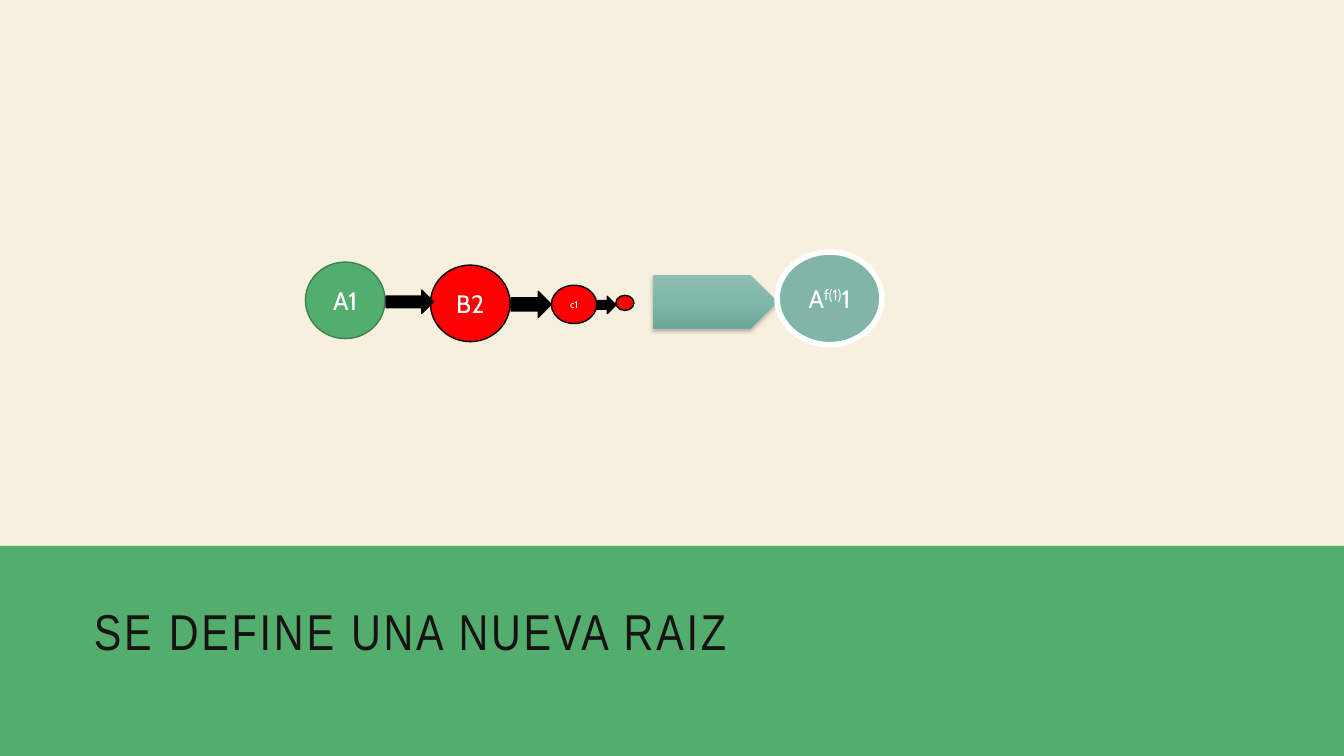
from dataclasses import dataclass

from lxml import etree
from pptx import Presentation
from pptx.dml import color
from pptx.enum import shapes, text
from pptx.oxml import ns
from pptx.util import Emu, Pt

COLUMNS, ROWS = 160, 90
CELL = 76200  # one twelfth of an inch

CREAM, GREEN, DARK_GREEN = "F7F0DF", "53AE6E", "3D8151"
RED, BLACK, WHITE, INK = "FF0000", "000000", "FFFFFF", "171312"
TEAL = "81B5A8"
TEAL_STOPS = ((0, "90BEB2"), (50, "7EB8A9"), (100, "6DA698"))


@dataclass(frozen=True)
class Box:
    column: float
    row: float
    columns: float
    rows: float

    def emu(self) -> list[Emu]:
        return [Emu(round(n * CELL)) for n in (self.column, self.row, self.columns, self.rows)]


@dataclass(frozen=True)
class Node:
    box: Box
    fill: str
    outline: str
    outline_width: float = 1
    label: tuple[str, ...] = ()  # every second part is raised
    size: float = 18


NODES = (
    Node(Box(36.36, 31.2, 9.48, 9.12), GREEN, DARK_GREEN, label=("A1",)),
    Node(Box(51.24, 31.56, 9.48, 9.12), RED, BLACK, label=("B2",)),
    Node(Box(65.64, 33.96, 5.4, 4.56), RED, BLACK, label=("c1",), size=7),
    Node(Box(73.32, 35.16, 2.16, 1.8), RED, BLACK),
)
NEW_ROOT = Node(Box(92.52, 30, 12.48, 11.04), TEAL, WHITE, 4, ("A", "f(1)", "1"))
ARROWS = (
    Box(45.96, 34.56, 5.64, 2.76),
    Box(60.84, 34.68, 4.8, 3.12),
    Box(71.04, 35.28, 2.28, 2.04),
)
PENTAGON = Box(77.76, 32.76, 14.76, 6.36)
BAND = Box(0, 65, COLUMNS, 25)
TITLE = Box(10, 69.24, 140, 12.48)


def rgb(value: str) -> color.RGBColor:
    return color.RGBColor.from_string(value)


def child(parent, tag: str, **attributes):
    return etree.SubElement(parent, ns.qn(tag), {k: str(v) for k, v in attributes.items()})


def add_figure(slide, kind, box: Box, fill: str, outline: str = "", width: float = 1):
    figure = slide.shapes.add_shape(kind, *box.emu())
    figure.shadow.inherit = False
    figure.fill.solid()
    figure.fill.fore_color.rgb = rgb(fill)
    if outline:
        figure.line.color.rgb = rgb(outline)
        figure.line.width = Pt(width)
    else:
        figure.line.fill.background()
    return figure


def write(frame, parts: tuple[str, ...], *, size: float, font: str, ink: str,
          align=text.PP_ALIGN.LEFT, line_spacing: float = 1, tracking: float = 0) -> None:
    """Write one paragraph, raising every second part."""
    frame.vertical_anchor = text.MSO_ANCHOR.MIDDLE
    paragraph = frame.paragraphs[0]
    paragraph.alignment = align
    paragraph.line_spacing = line_spacing
    for index, part in enumerate(parts):
        run = paragraph.add_run()
        run.text = part
        run.font.size = Pt(size)
        run.font.name = font
        run.font.color.rgb = rgb(ink)
        properties = run.font._element
        if index % 2:
            properties.set("baseline", "30000")
        if tracking:
            properties.set("spc", str(round(tracking * 100)))


def add_node(slide, node: Node) -> None:
    circle = add_figure(slide, shapes.MSO_SHAPE.OVAL, node.box, node.fill,
                        node.outline, node.outline_width)
    if node.label:
        circle.text_frame.word_wrap = False
        write(circle.text_frame, node.label, size=node.size, font="Cabin", ink=WHITE,
              align=text.PP_ALIGN.CENTER)


def add_pentagon(slide) -> None:
    """Draw the shaded pointer that leads to the new root."""
    pentagon = add_figure(slide, shapes.MSO_SHAPE.PENTAGON, PENTAGON, TEAL)
    pentagon.fill.gradient()
    pentagon.fill.gradient_angle = 270
    properties = pentagon._element.spPr
    stops = properties.find(".//" + ns.qn("a:gsLst"))
    for stop in list(stops):
        stops.remove(stop)
    for position, tone in TEAL_STOPS:
        child(child(stops, "a:gs", pos=position * 1000), "a:srgbClr", val=tone)
    shadow = child(properties.find(ns.qn("a:effectLst")), "a:outerShdw",
                   blurRad=Pt(3), dist=Pt(2), dir=5400000, rotWithShape=0)
    child(child(shadow, "a:srgbClr", val=BLACK), "a:alpha", val=25000)


def main() -> None:
    deck = Presentation()
    deck.slide_width, deck.slide_height = Emu(COLUMNS * CELL), Emu(ROWS * CELL)
    slide = deck.slides.add_slide(deck.slide_layouts[6])
    slide.background.fill.solid()
    slide.background.fill.fore_color.rgb = rgb(CREAM)

    add_figure(slide, shapes.MSO_SHAPE.RECTANGLE, BAND, GREEN)
    title = slide.shapes.add_textbox(*TITLE.emu()).text_frame
    title.word_wrap = True
    write(title, ("SE DEFINE UNA NUEVA RAIZ",), size=36, font="Arial Narrow", ink=INK,
          line_spacing=0.9, tracking=2)

    for node in NODES:
        add_node(slide, node)
    for arrow in ARROWS:
        add_figure(slide, shapes.MSO_SHAPE.RIGHT_ARROW, arrow, BLACK, BLACK)
    add_pentagon(slide)
    add_node(slide, NEW_ROOT)
    deck.save("out.pptx")


if __name__ == "__main__":
    main()
